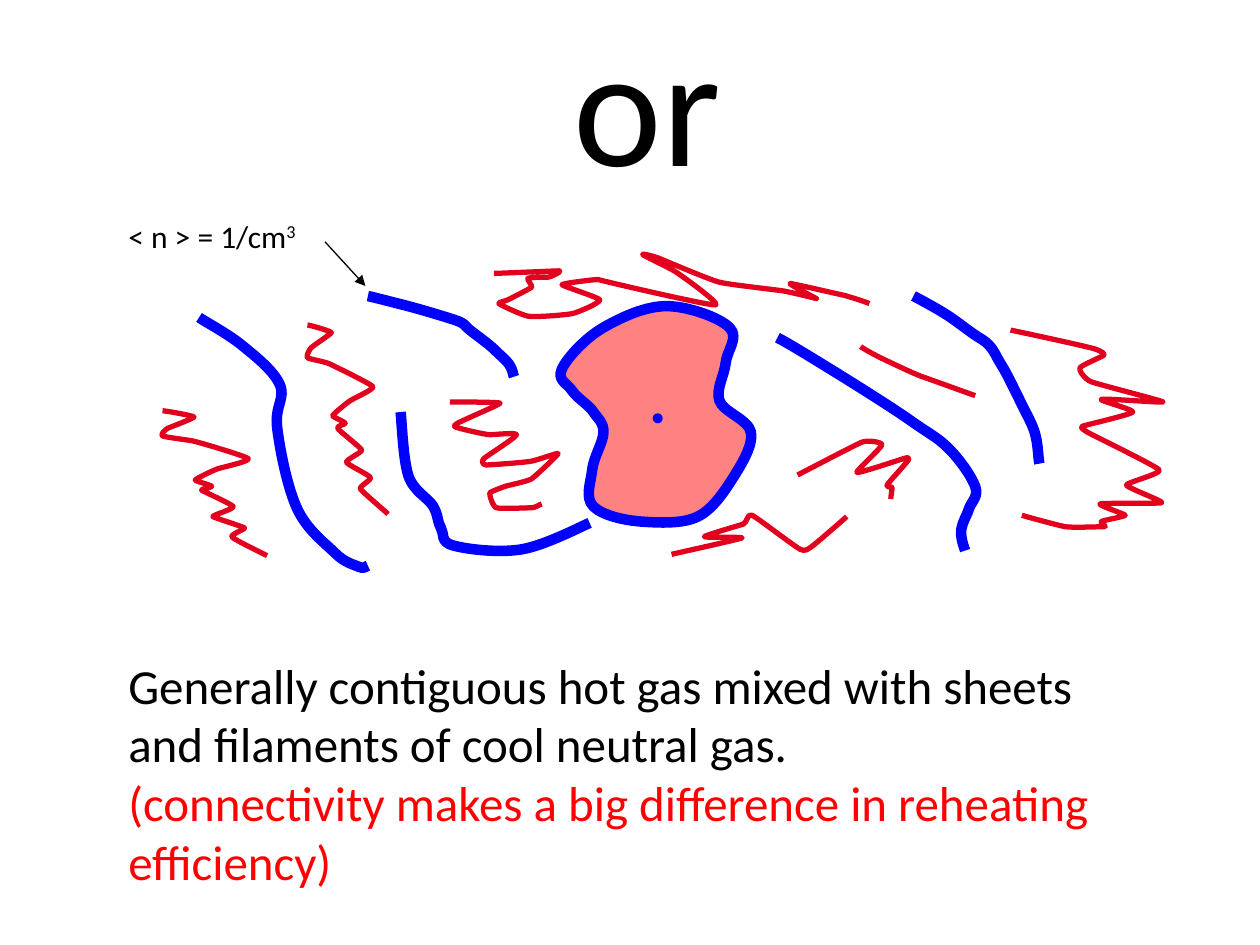
"""Slide on hot gas threaded by sheets and filaments of cool neutral gas."""
from dataclasses import dataclass

from lxml.etree import SubElement
from pptx import Presentation
from pptx.dml.color import RGBColor
from pptx.enum.shapes import MSO_CONNECTOR, MSO_SHAPE
from pptx.enum.text import MSO_ANCHOR, MSO_AUTO_SIZE, PP_ALIGN
from pptx.oxml.ns import qn
from pptx.util import Pt

EMU_PER_PX = 9144
BLACK, BLUE, CRIMSON, PINK, RED = "000000", "0000FF", "E3001F", "FF8282", "FF0000"
Point = tuple[int, int]
Knots = list[Point]


@dataclass(frozen=True)
class Stroke:
    """A pen: line colour, weight in points, roundness of bends, optional fill."""
    color: str
    weight: int
    roundness: float
    fill: str = ""


@dataclass(frozen=True)
class Words:
    """A run of text with its format."""
    text: str
    size: int
    color: str = BLACK
    baseline: int = 0


SHEET = Stroke(BLUE, 6, 0.17)
BUBBLE = Stroke(BLUE, 6, 0.17, PINK)
FILAMENT = Stroke(CRIMSON, 3, 0.08)

WEST_SHEET = [(158, 252), (192, 274), (222, 305), (220, 339), (236, 404), (266, 439), (285, 450), (292, 449)]
SOUTH_SHEET = [(468, 415), (414, 436), (360, 433), (350, 419), (344, 402), (324, 377), (318, 327)]
EAST_SHEET = [(617, 268), (651, 288), (723, 334), (753, 356), (774, 386), (769, 404), (763, 420), (766, 437)]
NORTHEAST_SHEET = [(725, 235), (750, 249), (774, 266), (785, 274), (795, 290), (812, 323), (822, 346), (825, 368)]
NORTH_SHEET = [(292, 235), (320, 242), (361, 254), (373, 262), (393, 278), (404, 289), (408, 299)]

HOT_BUBBLE = [
    (479, 260), (446, 293), (454, 310), (471, 327), (479, 343), (470, 373), (471, 402), (509, 414),
    (554, 410), (582, 379), (596, 343), (571, 318), (576, 288), (579, 260), (529, 243),
]

FRINGE = [
    (0, 0), (25, 5), (4, 14), (0, 20), (24, 24), (68, 38), (44, 46), (26, 55),
    (39, 60), (31, 63), (56, 76), (40, 84), (65, 93), (55, 100), (83, 115),
]
CENTER_FILAMENT = [
    (357, 319), (397, 320), (363, 336), (362, 339), (389, 345), (410, 345), (384, 364), (386, 369),
    (422, 366), (443, 360), (422, 380), (401, 386), (389, 391), (394, 403), (422, 403), (430, 400),
]
STREAK = [(683, 275), (697, 283), (732, 299), (774, 314)]
ZIGZAG = [
    (633, 377), (684, 351), (700, 353), (680, 375), (717, 364),
    (721, 365), (704, 385), (708, 387), (707, 396),
]
NORTH_FILAMENT = [
    (392, 217), (444, 215), (435, 220), (419, 221), (422, 228), (403, 238), (396, 241), (419, 251),
    (454, 249), (476, 238), (446, 226), (473, 222), (479, 223), (568, 242), (535, 215), (510, 202),
    (523, 205), (571, 224), (622, 231), (648, 237), (627, 225), (668, 234), (690, 241),
]
EAST_FILAMENT = [
    (802, 262), (869, 277), (876, 282), (857, 292), (866, 303), (923, 319), (874, 317), (899, 327),
    (860, 338), (863, 343), (920, 373), (894, 385), (922, 399), (873, 400), (893, 409), (874, 414),
    (877, 418), (845, 418), (811, 409),
]
SOUTH_FILAMENT = [
    (533, 440), (589, 427), (559, 426), (590, 416), (597, 409), (635, 436), (644, 434), (672, 410),
]


def px(*lengths: int) -> list[int]:
    """Turn px lengths into EMU."""
    return [length * EMU_PER_PX for length in lengths]


def rgb(color: str) -> RGBColor:
    """Turn a hex string into a colour."""
    return RGBColor.from_string(color)


def apply(target, **values) -> None:
    """Set each named format value on the target."""
    for name, value in values.items():
        setattr(target, name, value)


def placed(knots: Knots, left: int, top: int, wide: float = 1, tall: float = 1) -> Knots:
    """Stretch knots and move them to a start point."""
    return [(round(left + x * wide), round(top + y * tall)) for x, y in knots]


def handle(knot: Point, before: Point, after: Point, reach: float) -> Point:
    """Find a Bezier handle parallel to the chord between a knot's neighbours."""
    return tuple(round(k + (a - b) * reach) for k, b, a in zip(knot, before, after))


def smooth(knots: Knots, roundness: float, closed: bool) -> Knots:
    """List two handles and an end for every cubic segment through the knots."""
    if closed:
        chain = [knots[-1], *knots, *knots[:2]]
    else:
        chain = [knots[0], *knots, knots[-1]]
    controls = []
    for before, start, end, after in zip(chain, chain[1:], chain[2:], chain[3:]):
        leaving = handle(start, before, end, roundness)
        arriving = handle(end, start, after, -roundness)
        controls += [leaving, arriving, end]
    return controls


def draw_strand(shapes, knots: Knots, stroke: Stroke) -> None:
    """Draw a smooth freeform through the knots, closed when it is filled."""
    closed = bool(stroke.fill)
    builder = shapes.build_freeform(*knots[0], scale=EMU_PER_PX)
    builder.add_line_segments(smooth(knots, stroke.roundness, closed), close=closed)
    strand = builder.convert_to_shape()
    segments = strand._element.xpath(".//a:path/a:lnTo")
    for curve, *extras in zip(*[iter(segments)] * 3):
        curve.tag = qn("a:cubicBezTo")
        for extra in extras:
            curve.append(extra[0])
            extra.getparent().remove(extra)
    strand.shadow.inherit = False
    if closed:
        strand.fill.solid()
        strand.fill.fore_color.rgb = rgb(stroke.fill)
    else:
        strand.fill.background()
    strand.line.color.rgb = rgb(stroke.color)
    strand.line.width = Pt(stroke.weight)


def write(box, paragraphs: list[list[Words]], align=PP_ALIGN.LEFT) -> None:
    """Fill a text holder with formatted paragraphs."""
    frame = box.text_frame
    apply(frame, word_wrap=True, auto_size=MSO_AUTO_SIZE.NONE, vertical_anchor=MSO_ANCHOR.TOP)
    for index, content in enumerate(paragraphs):
        paragraph = frame.add_paragraph() if index else frame.paragraphs[0]
        paragraph.alignment = align
        for words in content:
            run = paragraph.add_run()
            run.text = words.text
            apply(run.font, name="Calibri", size=Pt(words.size))
            run.font.color.rgb = rgb(words.color)
            if words.baseline:
                run._r.get_or_add_rPr().set("baseline", str(words.baseline * 1000))


def draw_pointer(shapes, *ends: int) -> None:
    """Draw a thin black arrow."""
    pointer = shapes.add_connector(MSO_CONNECTOR.STRAIGHT, *px(*ends))
    pointer.line.color.rgb = rgb(BLACK)
    pointer.line.width = Pt(0.75)
    SubElement(pointer.line._get_or_add_ln(), qn("a:tailEnd"), type="triangle")
    SubElement(pointer._element.spPr, qn("a:effectLst"))


def main() -> None:
    """Build and save the slide."""
    deck = Presentation()
    deck.slide_width, deck.slide_height = px(1000, 750)
    shapes = deck.slides.add_slide(deck.slide_layouts[5]).shapes

    title = shapes.title
    apply(title, **dict(zip(("left", "top", "width", "height"), px(416, -6, 196, 172))))
    write(title, [[Words("or", 96)]], PP_ALIGN.CENTER)

    west_fringe = placed(FRINGE, 129, 326)
    inner_fringe = placed(FRINGE, 244, 258, wide=0.77, tall=1.3)
    layers = {
        SHEET: [WEST_SHEET, SOUTH_SHEET, EAST_SHEET, NORTHEAST_SHEET, NORTH_SHEET],
        BUBBLE: [HOT_BUBBLE],
        FILAMENT: [west_fringe, inner_fringe, CENTER_FILAMENT, STREAK, ZIGZAG,
                   NORTH_FILAMENT, EAST_FILAMENT, SOUTH_FILAMENT],
    }
    for stroke, strands in layers.items():
        for knots in strands:
            draw_strand(shapes, knots, stroke)

    star = shapes.add_shape(MSO_SHAPE.OVAL, *px(518, 328, 8, 8))
    star.shadow.inherit = False
    star.fill.solid()
    star.fill.fore_color.rgb = rgb(BLUE)
    star.line.fill.background()

    density = shapes.add_textbox(*px(92, 167, 192, 43))
    write(density, [[Words("< n > = 1/cm", 18), Words("3", 18, baseline=30)]])
    draw_pointer(shapes, 258, 192, 290, 227)

    summary = shapes.add_textbox(*px(92, 515, 804, 199))
    write(summary, [
        [Words("Generally contiguous hot gas mixed with sheets and filaments of cool neutral gas.", 28)],
        [Words("(connectivity makes a big difference in reheating efficiency)", 28, RED)],
    ])
    deck.save("out.pptx")


if __name__ == "__main__":
    main()
